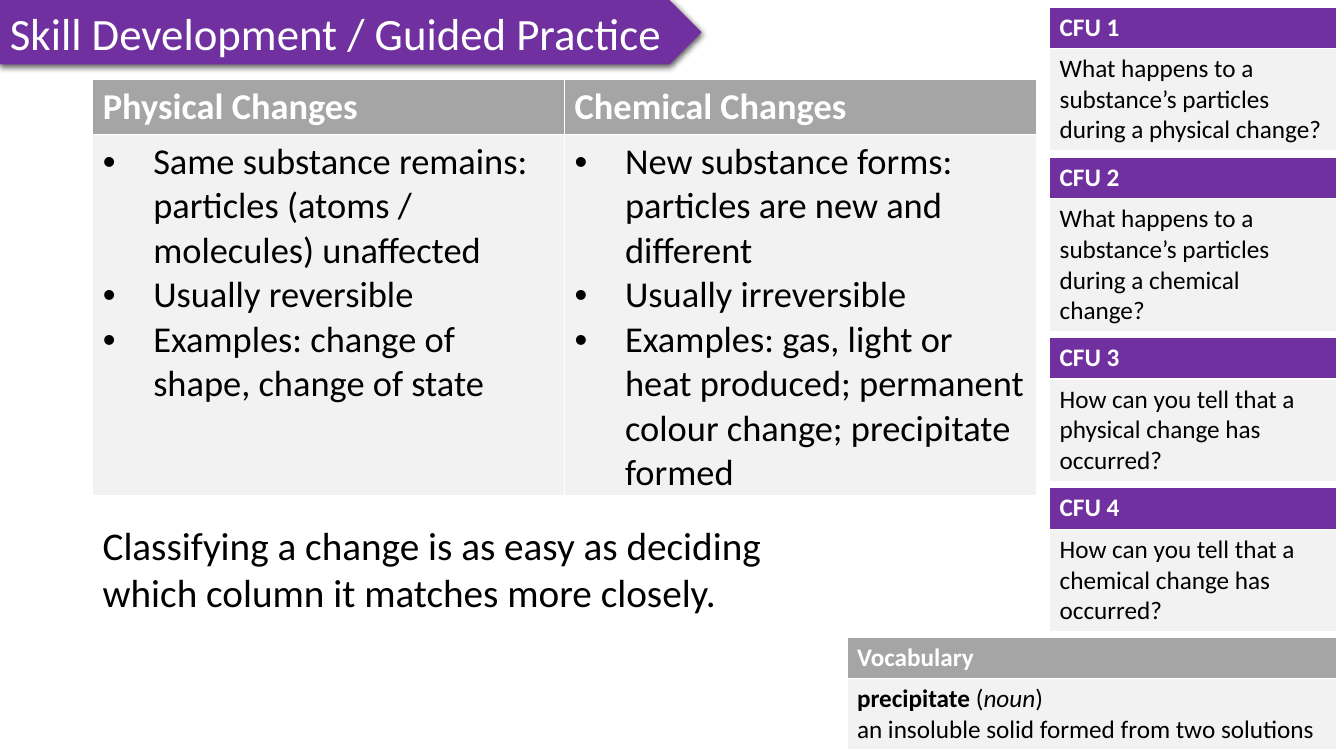
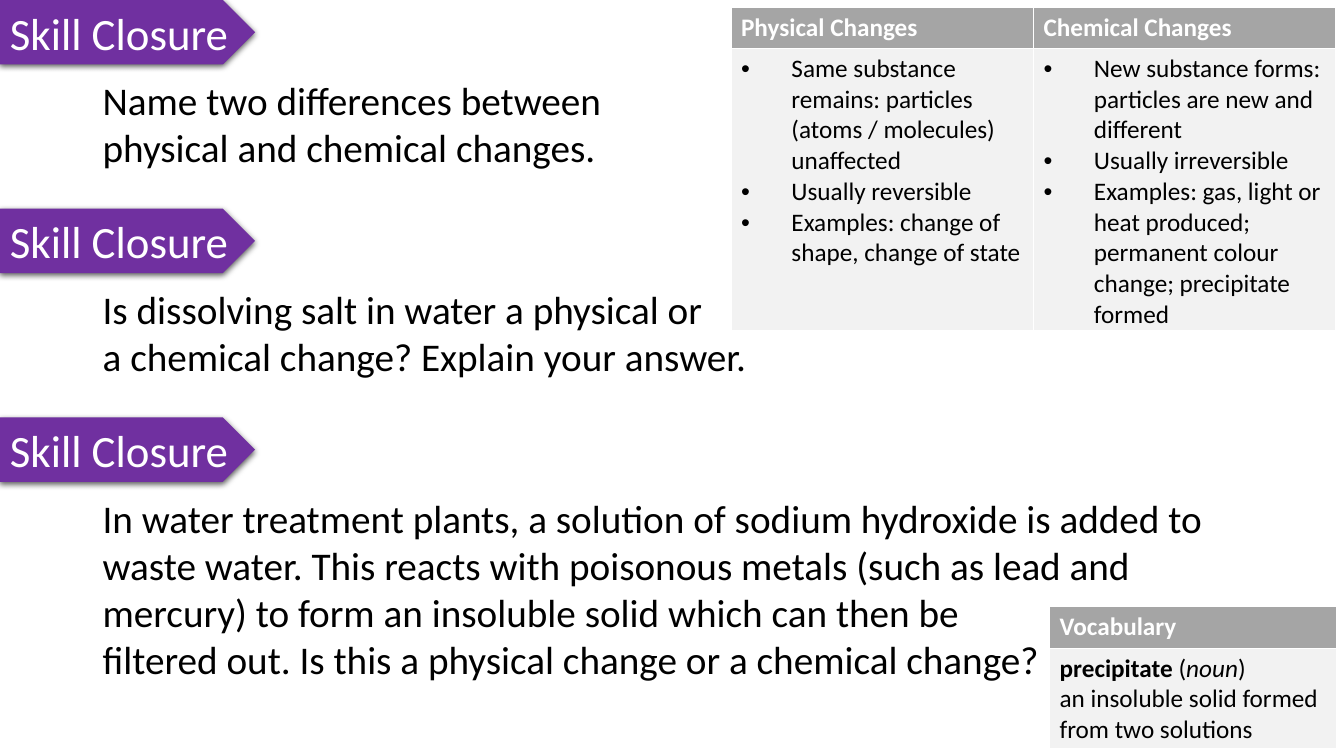
from dataclasses import dataclass

from lxml import etree
from pptx import Presentation
from pptx.dml.color import RGBColor
from pptx.enum import shapes, text
from pptx.oxml import ns
from pptx.util import Inches, Pt


@dataclass(frozen=True)
class Theme:
    font: str = "Calibri"
    purple: RGBColor = RGBColor(0x70, 0x30, 0xA0)
    grey: RGBColor = RGBColor(0xA5, 0xA5, 0xA5)
    pale: RGBColor = RGBColor(0xF2, 0xF2, 0xF2)
    white: RGBColor = RGBColor(0xFF, 0xFF, 0xFF)
    black: RGBColor = RGBColor(0, 0, 0)
    banner_size: int = 32
    prompt_size: int = 28
    chart_size: int = 26
    panel_size: int = 18


THEME = Theme()
MARGIN_LEFT = 0.92
BANNER_HEIGHT = 0.64
SIDE_LEFT = 10.41
SIDE_WIDTH = 2.85
SIDE_TOP = 0.07
SIDE_GAP = 0.09
CLOSURE_PITCH = 2.07
PROMPT_OFFSET = 0.71

CHANGES = {
    "Physical Changes": [
        "Same substance remains: particles (atoms / molecules) unaffected",
        "Usually reversible",
        "Examples: change of shape, change of state",
    ],
    "Chemical Changes": [
        "New substance forms: particles are new and different",
        "Usually irreversible",
        "Examples: gas, light or heat produced; permanent colour change; precipitate formed",
    ],
}
CFU_QUESTIONS = [
    ("What happens to a substance’s particles during a physical change?", 1.4),
    ("What happens to a substance’s particles during a chemical change?", 1.7),
    ("How can you tell that a physical change has occurred?", 1.4),
    ("How can you tell that a chemical change has occurred?", 1.4),
]
CLOSURE_PROMPTS = [
    ("Name two differences between\vphysical and chemical changes.", 9.36, 1.04),
    ("Is dissolving salt in water a physical or\va chemical change? Explain your answer.", 11.27, 1.04),
    ("In water treatment plants, a solution of sodium hydroxide is added to waste water. "
     "This reacts with poisonous metals (such as lead and mercury) to form an insoluble "
     "solid which can then be\vfiltered out. Is this a physical change or a chemical change?",
     11.27, 1.99),
]


def style_run(r, size, color, bold=False, italic=False):
    r.font.name = THEME.font
    r.font.size = Pt(size)
    r.font.color.rgb = color
    r.font.bold = bold
    r.font.italic = italic


def style_frame(tf, size, color, bold=False):
    for p in tf.paragraphs:
        p.alignment = text.PP_ALIGN.LEFT
        for r in p.runs:
            style_run(r, size, color, bold)


def add_shadow(sp):
    sp.shadow.inherit = False
    effects = sp._element.spPr.find(ns.qn("a:effectLst"))
    shadow = etree.SubElement(
        effects, ns.qn("a:outerShdw"), blurRad=str(Pt(4.5)), dist=str(Pt(1.5)),
        dir="5400000", algn="t", rotWithShape="0")
    color = etree.SubElement(shadow, ns.qn("a:srgbClr"), val=str(THEME.black))
    etree.SubElement(color, ns.qn("a:alpha"), val="63000")


def add_banner(s, title, width, top=0):
    sp = s.shapes.add_shape(
        shapes.MSO_SHAPE.PENTAGON, 0, Inches(top), Inches(width), Inches(BANNER_HEIGHT))
    sp.fill.solid()
    sp.fill.fore_color.rgb = THEME.purple
    sp.line.fill.background()
    add_shadow(sp)
    tf = sp.text_frame
    tf.word_wrap = False
    tf.vertical_anchor = text.MSO_ANCHOR.MIDDLE
    tf.text = title
    style_frame(tf, THEME.banner_size, THEME.white)


def add_prompt(s, prompt, top, width, height):
    sp = s.shapes.add_textbox(
        Inches(MARGIN_LEFT), Inches(top), Inches(width), Inches(height))
    tf = sp.text_frame
    tf.word_wrap = True
    tf.text = prompt
    style_frame(tf, THEME.prompt_size, THEME.black)


def add_bullet(p):
    props = p._p.get_or_add_pPr()
    props.set("marL", str(Inches(0.5)))
    props.set("indent", str(Inches(-0.5)))
    etree.SubElement(props, ns.qn("a:buFont"), typeface="Arial")
    etree.SubElement(props, ns.qn("a:buChar"), char="•")


def fill_cell(cell, content, size, fill, color, bold=False):
    cell.fill.solid()
    cell.fill.fore_color.rgb = fill
    cell.text_frame.text = content
    style_frame(cell.text_frame, size, color, bold)


def add_panel(s, box, columns, size, header_fill):
    left, top, width, height = box
    table = s.shapes.add_table(
        2, len(columns), Inches(left), Inches(top), Inches(width), Inches(height)).table
    table.horz_banding = False
    header_height = round(size * 1.22 / 72 + 0.1, 2)
    table.rows[0].height = Inches(header_height)
    table.rows[1].height = Inches(height - header_height)
    for i, (heading, body) in enumerate(columns.items()):
        fill_cell(table.cell(0, i), heading, size, header_fill, THEME.white, bold=True)
        fill_cell(table.cell(1, i), body, size, THEME.pale, THEME.black)
    return table


def add_changes(s, box, size):
    columns = {heading: "\n".join(points) for heading, points in CHANGES.items()}
    table = add_panel(s, box, columns, size, THEME.grey)
    for i in range(len(columns)):
        cell = table.cell(1, i)
        cell.margin_bottom = 0
        for p in cell.text_frame.paragraphs:
            add_bullet(p)


def add_vocabulary(s, box):
    columns = {"Vocabulary": "\nan insoluble solid formed from two solutions"}
    table = add_panel(s, box, columns, THEME.panel_size, THEME.grey)
    p = table.cell(1, 0).text_frame.paragraphs[0]
    for word, bold, italic in [
        ("precipitate ", True, False), ("(", False, False),
        ("noun", False, True), (")", False, False),
    ]:
        r = p.add_run()
        r.text = word
        style_run(r, THEME.panel_size, THEME.black, bold, italic)


def add_cfu_questions(s):
    top = SIDE_TOP
    for number, (question, height) in enumerate(CFU_QUESTIONS, 1):
        add_panel(s, (SIDE_LEFT, top, SIDE_WIDTH, height),
                  {f"CFU {number}": question}, THEME.panel_size, THEME.purple)
        top += height + SIDE_GAP


def build_guided_practice(s):
    add_banner(s, "Skill Development / Guided Practice", 6.96)
    add_cfu_questions(s)
    add_changes(s, (MARGIN_LEFT, 0.79, 9.36, 4.1), THEME.chart_size)
    add_vocabulary(s, (8.4, 6.32, 4.86, 1.11))
    add_prompt(s, "Classifying a change is as easy as deciding which column "
                  "it matches more closely.", 5.12, 7.48, 1.04)


def build_closure(s):
    add_changes(s, (7.25, SIDE_TOP, 6, 3.21), THEME.panel_size)
    add_vocabulary(s, (SIDE_LEFT, 6.02, SIDE_WIDTH, 1.41))
    for i, (prompt, width, height) in enumerate(CLOSURE_PROMPTS):
        top = i * CLOSURE_PITCH
        add_banner(s, "Skill Closure", 2.53, top)
        add_prompt(s, prompt, top + PROMPT_OFFSET, width, height)


def main():
    prs = Presentation()
    prs.slide_width = Inches(13.33)
    prs.slide_height = Inches(7.5)
    for build in (build_guided_practice, build_closure):
        build(prs.slides.add_slide(prs.slide_layouts[6]))
    prs.save("out.pptx")


if __name__ == "__main__":
    main()
